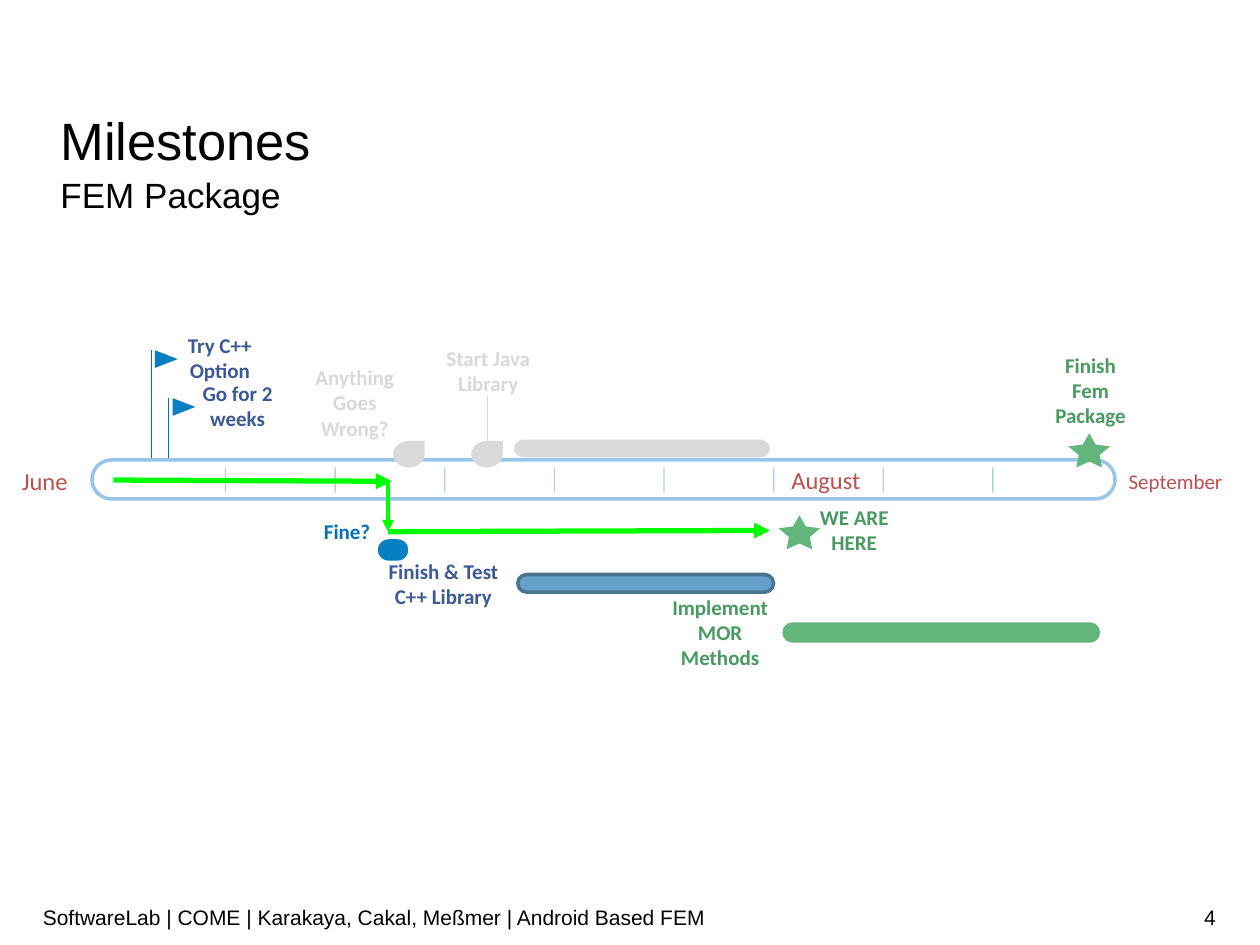
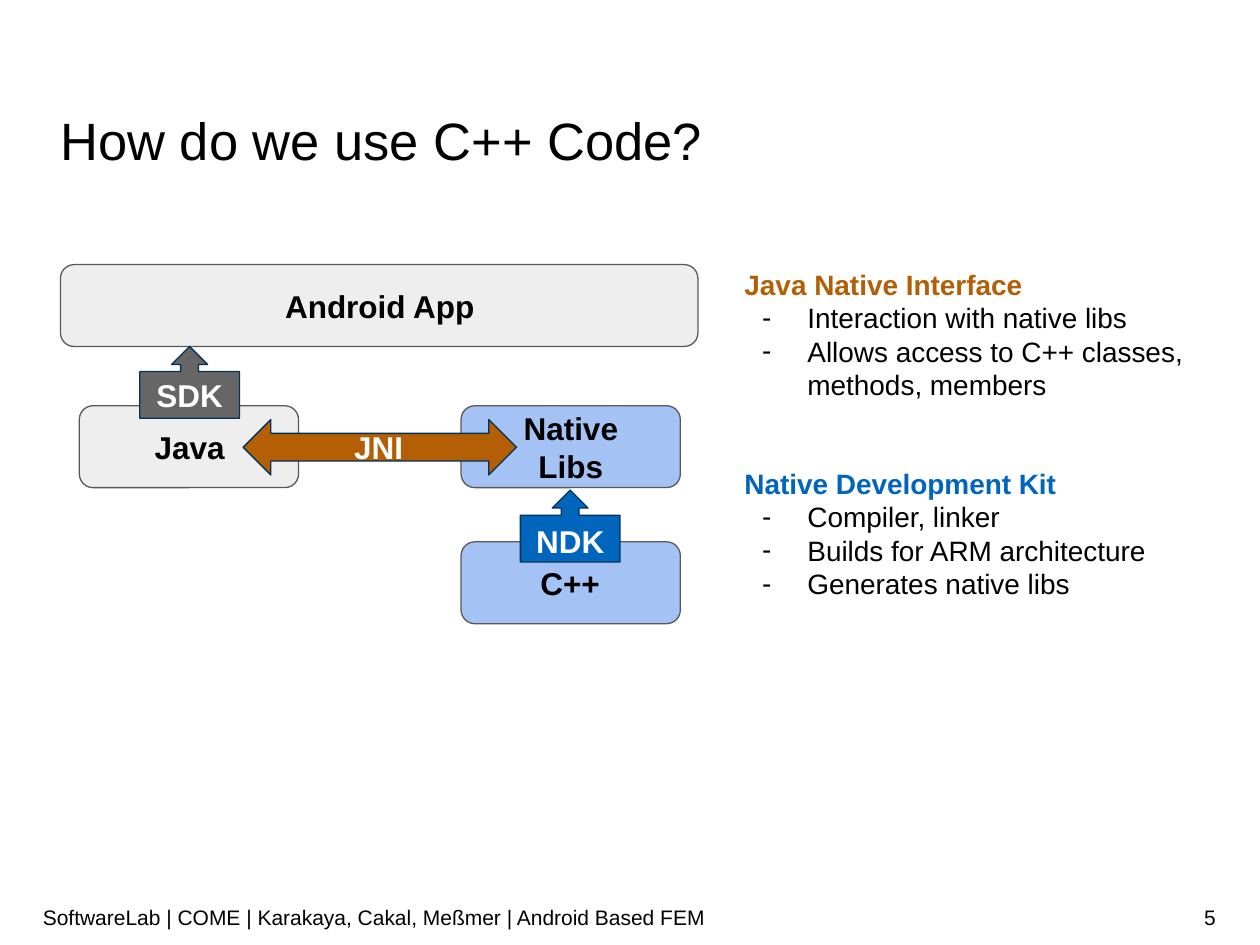
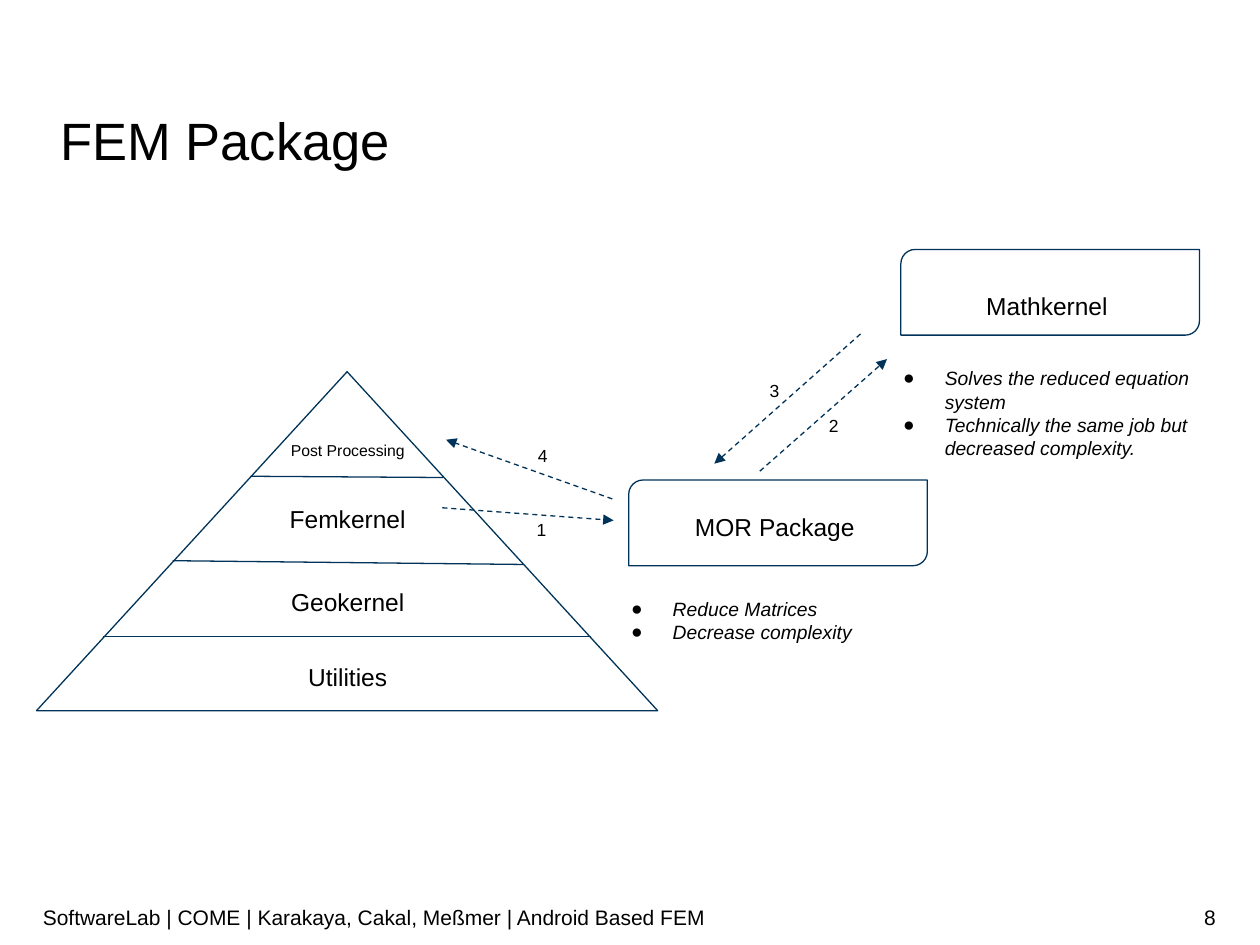
from dataclasses import dataclass
from typing import NamedTuple, Optional

from lxml.etree import SubElement
from pptx import Presentation
from pptx.dml.color import RGBColor
from pptx.enum.dml import MSO_LINE
from pptx.enum.shapes import MSO_CONNECTOR, MSO_SHAPE as Preset
from pptx.enum.text import MSO_ANCHOR as Anchor, MSO_AUTO_SIZE, PP_ALIGN as Align
from pptx.oxml.ns import qn
from pptx.util import Emu, Inches, Pt

# Grid: 100 columns by 75 rows over the whole slide
SLIDE_WIDTH, SLIDE_HEIGHT = Inches(10), Inches(7.5)
COLUMN, ROW = SLIDE_WIDTH / 100, SLIDE_HEIGHT / 75

# Shared colours and fonts
BLACK, WHITE = "000000", "FFFFFF"
BLUE, DEEP_BLUE, NAVY = "087FC3", "0065BD", "003359"
INDIGO, FINE_BLUE, PALE_BLUE = "3B5998", "0070C0", "A4C2F4"
GREEN, DARK_GREEN, LIME = "62B57B", "489A61", "00FF00"
LIGHT_GREY, PALE_GREY, GREY, DARK_GREY = "D9D9D9", "EEEEEE", "666666", "595959"
RED, BROWN = "C0504D", "B45F06"
BODY_FONT, TIMELINE_FONT = "Arial", "Calibri"
FOOTER = "SoftwareLab | COME | Karakaya, Cakal, Meßmer | Android Based FEM"


class Box(NamedTuple):
    column: float
    row: float
    width: float
    height: float

    def place(self) -> tuple:
        return (Emu(round(self.column * COLUMN)), Emu(round(self.row * ROW)),
                Emu(round(self.width * COLUMN)), Emu(round(self.height * ROW)))


class Stroke(NamedTuple):
    color: str
    width: float = 0.75


@dataclass(frozen=True)
class Figure:
    preset: Preset
    box: Box
    fill: Optional[str] = None
    stroke: Optional[Stroke] = None
    adjustment: Optional[float] = None
    rotation: float = 0


@dataclass(frozen=True)
class Line:
    start: tuple
    end: tuple
    stroke: Stroke = Stroke(NAVY)
    arrow: bool = False
    dashed: bool = False
    opacity: int = 100


@dataclass(frozen=True)
class Label:
    text: str
    box: Box
    color: str
    size: float = 12
    bold: bool = True


@dataclass(frozen=True)
class Topic:
    heading: str
    color: str
    box: Box
    points: tuple


@dataclass(frozen=True)
class Package:
    name: str
    column: float
    row: float
    name_drop: float
    facts: tuple


# Drawing functions
def rgb(color: str) -> RGBColor:
    return RGBColor.from_string(color)


def write(text_frame, text: str, *, size: float, color: str = BLACK, font: str = BODY_FONT,
          bold: bool = False, italic: bool = False, align: Align = Align.LEFT,
          spacing: Optional[float] = None, bullet: str = "", hanging: float = 0) -> None:
    """Add one paragraph; bullet text starts half an inch in, with a hanging indent."""
    paragraph = text_frame.add_paragraph() if text_frame.text else text_frame.paragraphs[0]
    paragraph.alignment = align
    if spacing:
        paragraph.line_spacing = spacing
    if bullet:
        properties = paragraph._p.get_or_add_pPr()
        properties.set("marL", str(Inches(0.5)))
        properties.set("indent", str(-Inches(hanging)))
        bullet_color = SubElement(properties, qn("a:buClr"))
        SubElement(bullet_color, qn("a:srgbClr"), val=color)
        SubElement(properties, qn("a:buFont"), typeface=BODY_FONT)
        SubElement(properties, qn("a:buChar"), char=bullet)
    run = paragraph.add_run()
    run.text = text
    run.font.name, run.font.size = font, Pt(size)
    run.font.bold, run.font.italic = bold, italic
    run.font.color.rgb = rgb(color)


def format_frame(text_frame, inset: float, anchor: Anchor):
    text_frame.word_wrap = True
    text_frame.auto_size = MSO_AUTO_SIZE.NONE
    text_frame.vertical_anchor = anchor
    text_frame.margin_left = text_frame.margin_right = Inches(inset)
    text_frame.margin_top = text_frame.margin_bottom = Inches(inset)
    return text_frame


def add_text_box(slide, box: Box, inset: float = 0.1, anchor: Anchor = Anchor.TOP):
    return format_frame(slide.shapes.add_textbox(*box.place()).text_frame, inset, anchor)


def add_label(slide, label: Label, font: str, inset: float) -> None:
    text_frame = add_text_box(slide, label.box, inset, Anchor.MIDDLE)
    for text in label.text.split("\n"):
        write(text_frame, text, size=label.size, color=label.color, font=font,
              bold=label.bold, align=Align.CENTER)


def add_figure(slide, figure: Figure) -> None:
    shape = slide.shapes.add_shape(figure.preset, *figure.box.place())
    shape.shadow.inherit = False
    shape.rotation = figure.rotation
    if figure.adjustment is not None:
        shape.adjustments[0] = figure.adjustment
    if figure.fill:
        shape.fill.solid()
        shape.fill.fore_color.rgb = rgb(figure.fill)
    else:
        shape.fill.background()
    if figure.stroke:
        shape.line.color.rgb = rgb(figure.stroke.color)
        shape.line.width = Pt(figure.stroke.width)
    else:
        shape.line.fill.background()


def add_line(slide, line: Line) -> None:
    points = [Emu(round(value * unit)) for point in (line.start, line.end)
              for value, unit in zip(point, (COLUMN, ROW))]
    connector = slide.shapes.add_connector(MSO_CONNECTOR.STRAIGHT, *points)
    connector.line.color.rgb = rgb(line.stroke.color)
    connector.line.width = Pt(line.stroke.width)
    if line.dashed:
        connector.line.dash_style = MSO_LINE.DASH
    outline = connector.line._get_or_add_ln()
    if line.opacity < 100:
        SubElement(outline.find(".//" + qn("a:srgbClr")), qn("a:alpha"),
                   val=str(line.opacity * 1000))
    if line.arrow:
        SubElement(outline, qn("a:tailEnd"), type="triangle")
    SubElement(connector._element.spPr, qn("a:effectLst"))


def add_slide(presentation, number: int, title: str, subtitle: str = ""):
    """Start a title-only slide with its heading, footer and page number."""
    slide = presentation.slides.add_slide(presentation.slide_layouts[5])
    heading = slide.shapes.title
    heading.left, heading.top, heading.width, heading.height = Box(4.8, 8.2, 93.1, 9).place()
    text_frame = format_frame(heading.text_frame, 0, Anchor.TOP)
    write(text_frame, title, size=30, spacing=1.07)
    if subtitle:
        write(text_frame, subtitle, size=20, spacing=1.07)
    for text, box, align in ((FOOTER, Box(3.4, 70.8, 71.6, 4), Align.LEFT),
                             (str(number), Box(74.1, 70.8, 22.4, 4), Align.RIGHT)):
        write(add_text_box(slide, box, 0, Anchor.MIDDLE), text, size=12, align=align)
    return slide


# Slide: milestones
def pill(box: Box, fill: str, stroke: Optional[Stroke] = None) -> Figure:
    return Figure(Preset.ROUNDED_RECTANGLE, box, fill, stroke, 0.5)


def drop(column: float) -> Figure:
    return Figure(Preset.TEAR, Box(column, 35, 2.5, 2.1), LIGHT_GREY, adjustment=1)


def star(column: float, row: float) -> Figure:
    return Figure(Preset.STAR_5_POINT, Box(column, row, 3.3, 2.7), GREEN, adjustment=0.25)


FLAGS = (("Try C++ Option", 12, 27.8), ("Go for 2 weeks", 13.4, 31.6))
TRACK = Box(7.3, 36.5, 81.2, 3.1)
FIRST_TICK, TICK_STEP, TICK_COUNT = 17.9, 8.7, 8

MILESTONES = (
    pill(TRACK, WHITE, Stroke("98C6EA", 2)),
    drop(31.2), drop(37.4),
    star(84.8, 34.4), star(61.8, 40.9),
    pill(Box(30, 42.8, 2.4, 1.7), BLUE),
    pill(Box(41.1, 45.6, 20.3, 1.4), "64A0C8", Stroke("487491", 2)),
    pill(Box(62.1, 49.4, 25.2, 1.6), GREEN),
    pill(Box(40.8, 34.9, 20.3, 1.4), LIGHT_GREY),
)
MILESTONE_LABELS = (
    Label("June", Box(1.2, 37, 4.7, 2.3), RED, 14, False),
    Label("August", Box(62, 36.9, 7.1, 2.3), RED, 14, False),
    Label("September", Box(88.8, 37, 9, 2.3), RED, 12, False),
    Label("Anything Goes Wrong?", Box(24.7, 29.7, 6.9, 4.5), LIGHT_GREY),
    Label("Start Java Library", Box(35.3, 27.9, 6.9, 3), LIGHT_GREY),
    Label("Finish Fem Package", Box(83.1, 28.7, 6.9, 4.5), DARK_GREEN),
    Label("Fine?", Box(24.2, 41.4, 6.7, 1.5), FINE_BLUE),
    Label("Finish & Test\nC++ Library", Box(28.9, 44.8, 12.6, 3), INDIGO),
    Label("Implement MOR Methods", Box(52.9, 47.9, 8.5, 4.5), DARK_GREEN),
    Label("WE ARE HERE", Box(63.3, 39.8, 9, 4.5), DARK_GREEN),
)
PROGRESS = (
    Line((9, 38.1), (31.1, 38.2), Stroke(LIME, 3), arrow=True),
    Line((30.8, 38.3), (30.8, 42.2), Stroke(LIME, 2.25), arrow=True),
    Line((30.8, 42.2), (61.1, 42.1), Stroke(LIME, 3), arrow=True),
)


def build_milestones(presentation) -> None:
    slide = add_slide(presentation, 4, "Milestones", "FEM Package")
    add_line(slide, Line((38.7, 31.4), (38.7, 36), Stroke(LIGHT_GREY)))
    for text, column, row in FLAGS:
        add_line(slide, Line((column, row), (column, TRACK.row), Stroke("0072BC")))
        add_figure(slide, Figure(Preset.FLOWCHART_MERGE, Box(column + 0.5, row - 0.2, 1.4, 1.8),
                                 BLUE, rotation=270))
        add_label(slide, Label(text, Box(column + 2, row - 0.9, 6.9, 3), INDIGO),
                  TIMELINE_FONT, 0)
    for figure in MILESTONES:
        add_figure(slide, figure)
    for index in range(TICK_COUNT):
        column = FIRST_TICK + index * TICK_STEP
        add_line(slide, Line((column, 37.1), (column, 39.1), Stroke(DEEP_BLUE), opacity=30))
    for label in MILESTONE_LABELS:
        add_label(slide, label, TIMELINE_FONT, 0)
    for line in PROGRESS:
        add_line(slide, line)


# Slide: C++ code
def block(column: float, row: float, fill: str, width: float = 17.4) -> Figure:
    return Figure(Preset.ROUNDED_RECTANGLE, Box(column, row, width, 6.5), fill, Stroke(DARK_GREY))


def callout(column: float, row: float, fill: str) -> Figure:
    return Figure(Preset.UP_ARROW_CALLOUT, Box(column, row, 7.9, 5.7), fill, Stroke(NAVY))


COMPONENTS = (
    block(4.8, 21, PALE_GREY, 50.6),
    block(6.3, 32.2, PALE_GREY),
    block(36.6, 32.2, PALE_BLUE),
    block(36.6, 43, PALE_BLUE),
    Figure(Preset.LEFT_RIGHT_ARROW, Box(19.3, 33.3, 21.7, 4.4), BROWN, Stroke(NAVY)),
    callout(41.3, 38.9, DEEP_BLUE),
    callout(11.1, 27.5, GREY),
)
COMPONENT_LABELS = (
    Label("Android App", Box(19.3, 22.8, 21.7, 3), BLACK, 18),
    Label("Java", Box(11.1, 34, 7.9, 2.9), BLACK, 18),
    Label("Native Libs", Box(39.2, 34, 12.2, 2.9), BLACK, 18),
    Label("C++", Box(41.3, 44.8, 7.9, 2.9), BLACK, 18),
    Label("NDK", Box(41.3, 41.3, 7.9, 3.3), WHITE, 18),
    Label("SDK", Box(11.1, 29.7, 7.9, 3.3), WHITE, 18),
    Label("JNI", Box(26.1, 33.8, 7.9, 3.3), WHITE, 18),
)
TOPICS = (
    Topic("Java Native Interface", BROWN, Box(58.1, 20.2, 40.5, 13.9),
          ("Interaction with native libs", "Allows access to C++ classes, methods, members")),
    Topic("Native Development Kit", DEEP_BLUE, Box(58.1, 36, 37.5, 13.9),
          ("Compiler, linker", "Builds for ARM architecture", "Generates native libs")),
)


def build_native_code(presentation) -> None:
    slide = add_slide(presentation, 5, "How do we use C++ Code?")
    for figure in COMPONENTS:
        add_figure(slide, figure)
    for label in COMPONENT_LABELS:
        add_label(slide, label, BODY_FONT, 0.1)
    for topic in TOPICS:
        text_frame = add_text_box(slide, topic.box)
        write(text_frame, topic.heading, size=16, color=topic.color, bold=True)
        for point in topic.points:
            write(text_frame, point, size=16, bullet="-", hanging=0.36)


# Slide: FEM package
LAYER_EDGES = (
    Line((8.2, 50.5), (46.9, 50.5)),
    Line((19.9, 37.8), (35.2, 37.9)),
    Line((13.7, 44.5), (41.6, 44.8)),
)
LAYERS = (("Post Processing", 34, 9), ("Femkernel", 39, 14),
          ("Geokernel", 45.6, 14), ("Utilities", 51.5, 14))
PACKAGES = (
    Package("Mathkernel", 71.5, 19.8, 2.3,
            ("Solves the reduced equation system",
             "Technically the same job but decreased complexity.")),
    Package("MOR Package", 49.9, 38.1, 1.5, ("Reduce Matrices", "Decrease complexity")),
)
# Step number, arrow start, arrow end, place of the number
STEPS = (
    ("1", (35.1, 40.3), (48.7, 41.3), (41.6, 40.2)),
    ("2", (60.3, 37.4), (70.4, 28.5), (64.8, 31.9)),
    ("3", (68.3, 26.5), (56.7, 36.8), (60.1, 29.2)),
    ("4", (48.6, 39.6), (35.4, 34.9), (41.7, 34.3)),
)


def build_fem_package(presentation) -> None:
    slide = add_slide(presentation, 8, "FEM Package")
    add_figure(slide, Figure(Preset.ISOSCELES_TRIANGLE, Box(2.9, 29.5, 49.3, 26.9),
                             stroke=Stroke(NAVY)))
    for edge in LAYER_EDGES:
        add_line(slide, edge)
    for name, row, size in LAYERS:
        write(add_text_box(slide, Box(12.4, row, 30.4, 4.1)), name, size=size, align=Align.CENTER)
    for package in PACKAGES:
        column, row = package.column, package.row
        add_figure(slide, Figure(Preset.ROUND_2_DIAG_RECTANGLE, Box(column, row, 23.7, 6.8),
                                 stroke=Stroke(NAVY)))
        write(add_text_box(slide, Box(column + 3.3, row + package.name_drop, 16.6, 4.1)),
              package.name, size=14, align=Align.CENTER)
        facts_frame = add_text_box(slide, Box(column - 2.5, row + 8.3, 28.9, 5.1))
        for fact in package.facts:
            write(facts_frame, fact, size=11, italic=True, bullet="●", hanging=0.33)
    for number, start, end, place in STEPS:
        add_line(slide, Line(start, end, arrow=True, dashed=True))
        write(add_text_box(slide, Box(*place, 2.8, 3)), number, size=10)


def main() -> None:
    presentation = Presentation()
    presentation.slide_width, presentation.slide_height = SLIDE_WIDTH, SLIDE_HEIGHT
    build_milestones(presentation)
    build_native_code(presentation)
    build_fem_package(presentation)
    presentation.save("out.pptx")


if __name__ == "__main__":
    main()
